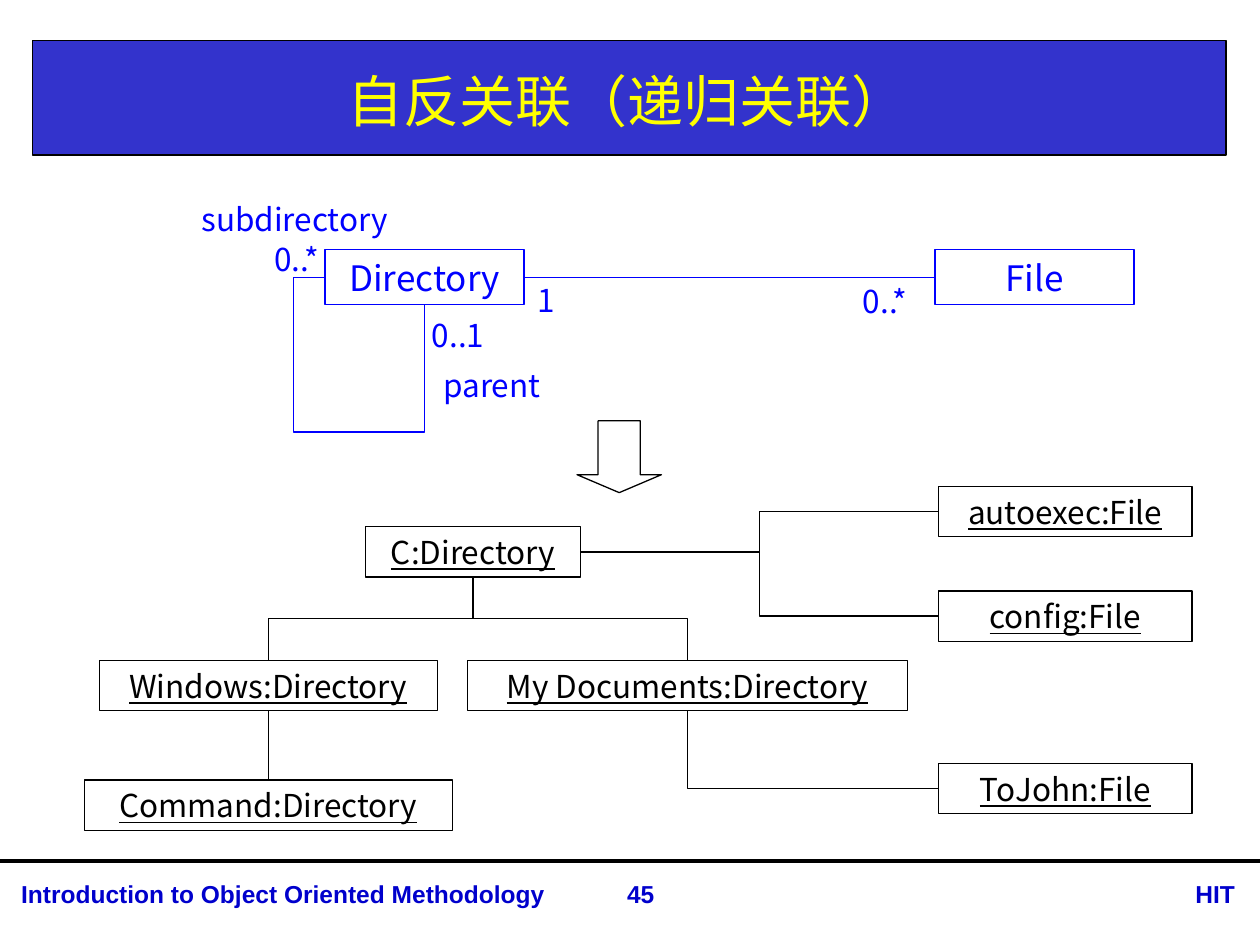
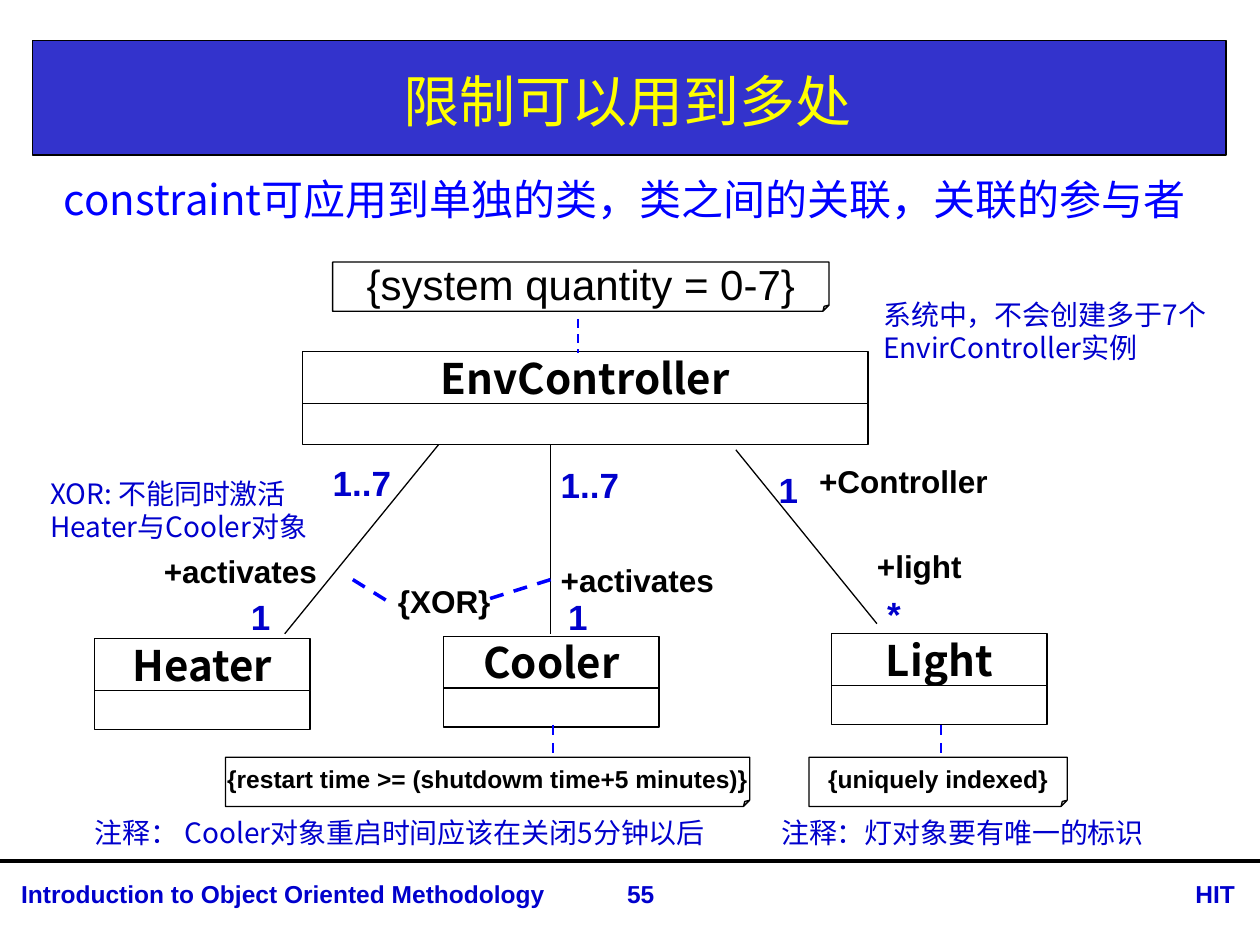
import dataclasses

import lxml.etree
import pptx
import pptx.dml.color
import pptx.enum.dml
import pptx.enum.shapes
import pptx.enum.text
import pptx.oxml.ns
import pptx.util

COLUMNS, ROWS = 10, 7.5
SLIDE_WIDTH, SLIDE_HEIGHT = pptx.util.Inches(10), pptx.util.Inches(7.5)
COLUMN, ROW = SLIDE_WIDTH / COLUMNS, SLIDE_HEIGHT / ROWS

BLACK, WHITE, YELLOW = "000000", "FFFFFF", "FFFF00"
BLUE, NAVY, BAND_BLUE = "0000FF", "0000CC", "3333CC"
CHINESE_FONT, LATIN_FONT = "Noto Sans CJK SC", "Arial"

SHAPES = pptx.enum.shapes.MSO_SHAPE
CONNECTORS = pptx.enum.shapes.MSO_CONNECTOR
ANCHORS = pptx.enum.text.MSO_ANCHOR
ALIGN = pptx.enum.text.PP_ALIGN
LEFT, CENTER, RIGHT = ALIGN.LEFT, ALIGN.CENTER, ALIGN.RIGHT


@dataclasses.dataclass
class Box:
    """A rectangle measured in columns and rows of the slide grid."""

    left: float
    top: float
    width: float
    height: float

    def inner(self, left, top, width, height):
        """Return a box offset from this box's corner."""
        return Box(self.left + left, self.top + top, width, height)

    def point(self, across, down):
        """Return the point at the given shares of the width and height."""
        return self.left + across * self.width, self.top + down * self.height

    def offset(self, x, y):
        """Return the point at an offset from this box's corner."""
        return self.left + x, self.top + y

    def lengths(self):
        """Return left, top, width and height as slide lengths."""
        return (round(self.left * COLUMN), round(self.top * ROW),
                round(self.width * COLUMN), round(self.height * ROW))


@dataclasses.dataclass
class Style:
    """The look of one run of text."""

    size: float
    color: str = BLACK
    font: str = CHINESE_FONT
    bold: bool = False
    underline: bool = False


TITLE_STYLE = Style(32, YELLOW)
FOOTER_STYLE = Style(14, NAVY, LATIN_FONT, bold=True)
CLASS_STYLE = Style(20, BLUE)
LABEL_STYLE = Style(18, BLUE)
OBJECT_STYLE = Style(18, underline=True)
LEAD_STYLE = Style(24, BLUE)
CLASS_NAME_STYLE = Style(24, bold=True)
MULTIPLICITY_STYLE = Style(20, NAVY, LATIN_FONT, bold=True)
ROLE_STYLE = Style(18, BLACK, LATIN_FONT, bold=True)
REMARK_STYLE = Style(16, NAVY)
RULE_STYLE = Style(14, BLACK, LATIN_FONT, bold=True)
QUANTITY_STYLE = Style(24, BLACK, LATIN_FONT)


def rgb(color):
    """Turn a hex string into a colour."""
    return pptx.dml.color.RGBColor.from_string(color)


def write(shape, text, style, align=LEFT, anchor=ANCHORS.TOP, margins=True, wrap=True):
    """Put one styled paragraph into a shape."""
    frame = shape.text_frame
    frame.text = text
    frame.word_wrap = wrap
    frame.vertical_anchor = anchor
    if not margins:
        frame.margin_left = frame.margin_right = 0
        frame.margin_top = frame.margin_bottom = 0
    paragraph = frame.paragraphs[0]
    paragraph.alignment = align
    for run in paragraph.runs:
        run.font.size = pptx.util.Pt(style.size)
        run.font.name = style.font
        run.font.bold = style.bold
        run.font.underline = style.underline
        run.font.color.rgb = rgb(style.color)
        east_asian = lxml.etree.SubElement(
            run.font._element, pptx.oxml.ns.qn("a:ea"))
        east_asian.set("typeface", style.font)


def add_text(slide, box, text, style, **layout):
    """Add a text box."""
    write(slide.shapes.add_textbox(*box.lengths()), text, style, **layout)


def set_guides(geometry, **guides):
    """Set the adjustment guides of a preset geometry."""
    guide_list = geometry.find(pptx.oxml.ns.qn("a:avLst"))
    guide_list.clear()
    for name, value in guides.items():
        guide = lxml.etree.SubElement(guide_list, pptx.oxml.ns.qn("a:gd"))
        guide.set("name", name)
        guide.set("fmla", f"val {round(value * 100000)}")


def add_outline(slide, box, line=BLACK, fill=WHITE, kind=SHAPES.RECTANGLE, **guides):
    """Add a preset shape with a thin line."""
    shape = slide.shapes.add_shape(kind, *box.lengths())
    shape.shadow.inherit = False
    set_guides(shape._element.spPr.find(pptx.oxml.ns.qn("a:prstGeom")), **guides)
    if fill:
        shape.fill.solid()
        shape.fill.fore_color.rgb = rgb(fill)
    else:
        shape.fill.background()
    shape.line.color.rgb = rgb(line)
    shape.line.width = pptx.util.Pt(0.75)
    return shape


def add_line(slide, start, end, color=BLACK, width=0.75, dashed=False, kind=CONNECTORS.STRAIGHT):
    """Add a connector between two grid points."""
    ends = [round(value * unit) for value, unit in
            zip((*start, *end), (COLUMN, ROW, COLUMN, ROW))]
    connector = slide.shapes.add_connector(kind, *ends)
    connector.line.color.rgb = rgb(color)
    connector.line.width = pptx.util.Pt(width)
    if dashed:
        connector.line.dash_style = pptx.enum.dml.MSO_LINE.DASH
    lxml.etree.SubElement(connector._element.spPr, pptx.oxml.ns.qn("a:effectLst"))
    return connector


def add_vertical_elbow(slide, start, end, color=BLACK, preset="bentConnector3", **guides):
    """Add a bent connector whose first leg is vertical."""
    across, down = end[0] - start[0], end[1] - start[1]
    middle_x, middle_y = (start[0] + end[0]) / 2, (start[1] + end[1]) / 2
    half_length, half_breadth = abs(down) / 2, abs(across) / 2
    connector = add_line(
        slide, (middle_x - half_length, middle_y - half_breadth),
        (middle_x + half_length, middle_y + half_breadth), color, kind=CONNECTORS.ELBOW)
    properties = connector._element.spPr
    transform = properties.find(pptx.oxml.ns.qn("a:xfrm"))
    transform.set("rot", str((270 if across > 0 else 90) * 60000))
    if (across > 0) == (down > 0):
        transform.set("flipH", "1")
    geometry = properties.find(pptx.oxml.ns.qn("a:prstGeom"))
    geometry.set("prst", preset)
    set_guides(geometry, **guides)


def add_frame(presentation, title, number):
    """Add a blank slide with the title band and footer."""
    slide = presentation.slides.add_slide(presentation.slide_layouts[6])
    add_outline(slide, Box(0.26, 0.32, 9.47, 0.91), fill=BAND_BLUE)
    add_text(slide, Box(0.26, 0.36, 9.45, 0.87), title, TITLE_STYLE,
             align=CENTER, anchor=ANCHORS.MIDDLE)
    add_line(slide, (0, 6.83), (COLUMNS, 6.83), width=2.25)
    for left, width, text, align in (
            (0.07, 4.63, "Introduction to Object Oriented Methodology", LEFT),
            (4.57, 1.03, str(number), CENTER),
            (8.87, 1.03, "HIT", RIGHT)):
        add_text(slide, Box(left, 6.93, width, 0.34), text, FOOTER_STYLE, align=align)
    return slide


def add_named_box(slide, box, name, style):
    """Add a box with a centred name in its own line colour."""
    write(add_outline(slide, box, style.color), name, style,
          align=CENTER, anchor=ANCHORS.MIDDLE)


def add_class_model(slide, region):
    """Draw Directory with its loop and its link to File."""
    directory = region.inner(1.08, 0.48, 1.58, 0.44)
    file = region.inner(5.92, 0.48, 1.58, 0.44)
    add_named_box(slide, directory, "Directory", CLASS_STYLE)
    add_named_box(slide, file, "File", CLASS_STYLE)
    add_line(slide, directory.point(1, 0.5), file.point(0, 0.5), BLUE)
    add_vertical_elbow(slide, directory.point(0.5, 1), directory.point(0, 0.5),
                       BLUE, "bentConnector4", adj1=-4.58, adj2=1.32)
    for left, top, width, text in (
            (0, 0.04, 1.75, "subdirectory"), (0.58, 0.36, 0.67, "0..*"),
            (1.83, 0.96, 0.67, "0..1"), (1.92, 1.36, 1.33, "parent"),
            (2.67, 0.68, 0.42, "1"), (5.25, 0.69, 0.67, "0..*")):
        add_text(slide, region.inner(left, top, width, 0.4), text, LABEL_STYLE)


def add_object_tree(slide, region):
    """Draw the directory and file objects and their links."""
    boxes = {}
    for name, left, top, width in (
            ("C:Directory", 2.4, 0.43, 1.71),
            ("Windows:Directory", 0.29, 1.49, 2.68),
            ("My Documents:Directory", 3.21, 1.49, 3.49),
            ("Command:Directory", 0.17, 2.44, 2.92),
            ("autoexec:File", 6.95, 0.11, 2.01),
            ("config:File", 6.95, 0.94, 2.01),
            ("ToJohn:File", 6.95, 2.31, 2.01)):
        boxes[name] = region.inner(left, top, width, 0.4)
        add_named_box(slide, boxes[name], name, OBJECT_STYLE)
    root, windows, documents, command, autoexec, config, letter = boxes.values()
    for folder in (windows, documents):
        add_vertical_elbow(slide, root.point(0.5, 1), folder.point(0.5, 0))
    for file in (autoexec, config):
        add_line(slide, root.point(1, 0.5), file.point(0, 0.5), kind=CONNECTORS.ELBOW)
    add_line(slide, windows.point(0.5, 1), command.point(0.5, 0))
    add_vertical_elbow(slide, documents.point(0.5, 1), letter.point(0, 0.5),
                       preset="bentConnector2")


def add_class(slide, box, name):
    """Draw a class as a name compartment over an empty one."""
    name_height = 0.41
    name_box = box.inner(0, 0, box.width, name_height)
    write(add_outline(slide, name_box), name, CLASS_NAME_STYLE,
          align=CENTER, anchor=ANCHORS.MIDDLE, margins=False)
    add_outline(slide, box.inner(0, name_height, box.width, box.height - name_height))


def add_constraint(slide, box, text, style):
    """Draw a constraint note with a folded corner."""
    note = add_outline(slide, box, kind=SHAPES.FOLDED_CORNER, adj=0.125)
    write(note, text, style, align=CENTER, anchor=ANCHORS.MIDDLE, wrap=False)


def add_controller_diagram(slide, region):
    """Draw the controller, its three devices and their constraints."""
    for name, left, top, width, height in (
            ("EnvController", 2.4, 0.79, 4.49, 0.74), ("Heater", 0.75, 3.07, 1.71, 0.72),
            ("Cooler", 3.52, 3.05, 1.71, 0.72), ("Light", 6.6, 3.03, 1.71, 0.72)):
        add_class(slide, region.inner(left, top, width, height), name)
    for start, end in (((3.48, 1.53), (2.26, 3.03)), ((4.37, 1.53), (4.37, 3.03)),
                       ((5.84, 1.57), (6.96, 2.95))):
        add_line(slide, region.offset(*start), region.offset(*end))
    for start, end, width in (
            ((2.8, 2.6), (3.09, 2.78), 2), ((4.37, 2.6), (3.89, 2.75), 2),
            ((4.59, 0.53), (4.59, 0.8), 1.25),
            ((4.39, 3.75), (4.39, 4.23), 1.5), ((7.47, 3.75), (7.47, 4.23), 1.5)):
        add_line(slide, region.offset(*start), region.offset(*end), BLUE, width, dashed=True)
    for left, top, text in (
            (2.64, 1.66, "1..7"), (4.45, 1.68, "1..7"), (6.18, 1.72, "1"),
            (1.99, 2.73, "1"), (4.51, 2.73, "1"), (7.04, 2.7, "*")):
        add_text(slide, region.inner(left, top, 0.55, 0.33), text,
                 MULTIPLICITY_STYLE, margins=False)
    for left, top, width, text, align in (
            (6.5, 1.67, 1.42, "+Controller", LEFT), (6.96, 2.34, 0.87, "+light", LEFT),
            (4.45, 2.45, 1.42, "+activates", LEFT), (1.3, 2.38, 1.42, "+activates", LEFT),
            (3.05, 2.62, 0.95, "{XOR}", CENTER)):
        add_text(slide, region.inner(left, top, width, 0.3), text, ROLE_STYLE,
                 align=align, margins=False)
    for left, top, width, text, style in (
            (2.64, 0.08, 3.94, "{system quantity = 0-7}", QUANTITY_STYLE),
            (1.79, 4.01, 4.16, "{restart time >= (shutdowm time+5 minutes)}", RULE_STYLE),
            (6.42, 4.01, 2.05, "{uniquely indexed}", RULE_STYLE)):
        add_constraint(slide, region.inner(left, top, width, 0.39), text, style)
    for left, top, width, height, text in (
            (0.75, 4.47, 5.09, 0.27, "注释： Cooler对象重启时间应该在关闭5分钟以后"),
            (6.2, 4.47, 3.34, 0.27, "注释：灯对象要有唯一的标识"),
            (0.4, 1.78, 2.31, 0.54, "XOR: 不能同时激活Heater与Cooler对象"),
            (7.01, 0.36, 2.59, 0.54, "系统中，不会创建多于7个 EnvirController实例")):
        add_text(slide, region.inner(left, top, width, height), text,
                 REMARK_STYLE, margins=False)


def add_recursion_slide(presentation):
    """Build the slide on reflexive associations."""
    slide = add_frame(presentation, "自反关联（递归关联）", 45)
    add_class_model(slide, Box(1.5, 1.5, 7.5, 1.92))
    add_outline(slide, Box(4.58, 3.34, 0.67, 0.57), fill=None,
                kind=SHAPES.DOWN_ARROW, adj1=0.5, adj2=0.25)
    add_object_tree(slide, Box(0.5, 3.75, 9, 2.84))


def add_constraint_slide(presentation):
    """Build the slide on places where constraints apply."""
    slide = add_frame(presentation, "限制可以用到多处", 55)
    add_text(slide, Box(0.41, 1.33, 9.36, 0.5),
             "constraint可应用到单独的类，类之间的关联，关联的参与者", LEAD_STYLE)
    add_controller_diagram(slide, Box(0, 2, COLUMNS, 4.75))


def main():
    """Build and save the presentation."""
    presentation = pptx.Presentation()
    presentation.slide_width, presentation.slide_height = SLIDE_WIDTH, SLIDE_HEIGHT
    add_recursion_slide(presentation)
    add_constraint_slide(presentation)
    presentation.save("out.pptx")


if __name__ == "__main__":
    main()
